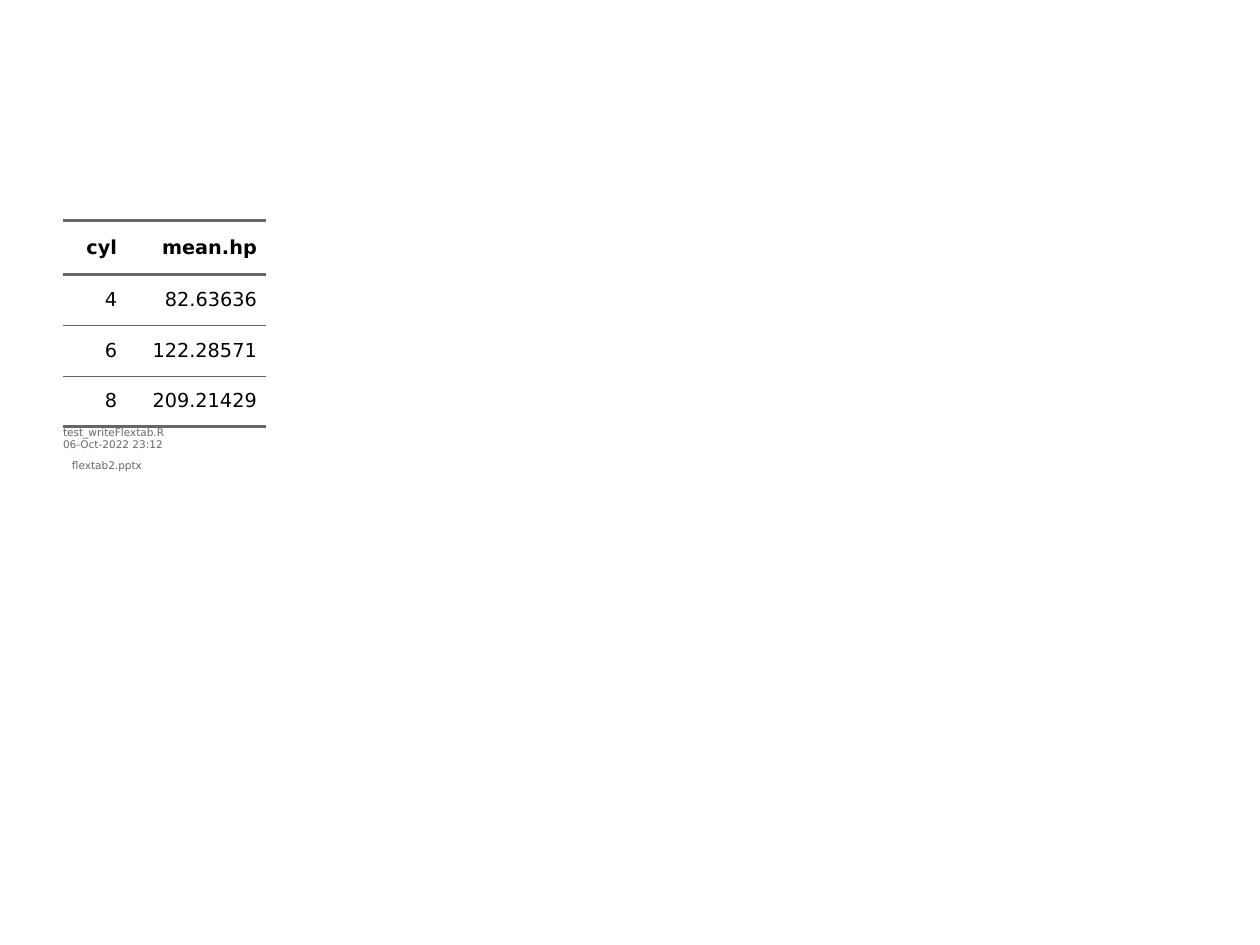
from dataclasses import dataclass

from lxml import etree
from pptx import Presentation
from pptx.dml.color import RGBColor
from pptx.enum.text import MSO_ANCHOR, PP_ALIGN
from pptx.oxml.ns import qn
from pptx.util import Cm, Pt

MIDDLE = MSO_ANCHOR.MIDDLE
LEFT, RIGHT = PP_ALIGN.LEFT, PP_ALIGN.RIGHT

HEADINGS = ("cyl", "mean.hp")
MEANS = [("4", "82.63636"), ("6", "122.28571"), ("8", "209.21429")]
FOOTNOTE = ("test_writeFlextab.R", "06-Oct-2022 23:12", "flextab2.pptx")

COLUMN_WIDTHS = (Cm(1.27), Cm(2.82))
HEADING_HEIGHT, MEAN_HEIGHT, FOOTNOTE_HEIGHT = Cm(1.09), Cm(1.02), Cm(0.64)
TABLE_LEFT, TABLE_TOP = Cm(1.27), Cm(4.45)
INDENT = Cm(0.18)


@dataclass(frozen=True)
class Theme:
    """Colours, type sizes and rule widths."""
    font: str = "DejaVu Sans"
    text: RGBColor = RGBColor(0x00, 0x00, 0x00)
    muted: RGBColor = RGBColor(0x66, 0x66, 0x66)
    paper: RGBColor = RGBColor(0xFF, 0xFF, 0xFF)
    body_size: Pt = Pt(11)
    footnote_size: Pt = Pt(6)
    padding: Pt = Pt(5)
    thick: Pt = Pt(2)
    thin: Pt = Pt(0.5)


THEME = Theme()


def write(paragraph, text, size, color, bold=False, align=RIGHT, padded=True):
    """Fill a paragraph with one run, with indents and spacing if padded."""
    paragraph.alignment = align
    if padded:
        paragraph.space_before = paragraph.space_after = THEME.padding
        properties = paragraph._p.get_or_add_pPr()
        properties.set("marL", str(INDENT))
        properties.set("marR", str(INDENT))
    run = paragraph.add_run()
    run.text = text
    font = run.font
    font.name, font.size, font.bold = THEME.font, size, bold
    font.color.rgb = color


def format_cell(cell, top, bottom):
    """Set margins, rules above and below, and the background."""
    cell.margin_left = cell.margin_right = cell.margin_top = cell.margin_bottom = 0
    cell.vertical_anchor = MIDDLE
    properties = cell._tc.get_or_add_tcPr()
    for side, width in (("L", 0), ("R", 0), ("T", top), ("B", bottom)):
        rule = etree.SubElement(properties, qn(f"a:ln{side}"), w=str(int(width)))
        if width:
            fill = etree.SubElement(rule, qn("a:solidFill"))
            etree.SubElement(fill, qn("a:srgbClr"), val=str(THEME.muted))
        else:
            etree.SubElement(rule, qn("a:noFill"))
    cell.fill.solid()
    cell.fill.fore_color.rgb = THEME.paper


def add_means_table(slide):
    """Add the table of means with its merged footnote row."""
    rows = [HEADINGS, *MEANS]
    heights = [HEADING_HEIGHT, *[MEAN_HEIGHT] * len(MEANS), FOOTNOTE_HEIGHT]
    rules = [THEME.thick, THEME.thick, *[THEME.thin] * (len(MEANS) - 1), THEME.thick, 0]
    table = slide.shapes.add_table(
        len(heights), len(COLUMN_WIDTHS), TABLE_LEFT, TABLE_TOP,
        sum(COLUMN_WIDTHS), sum(heights)).table
    table.first_row = table.horz_banding = False
    for column, width in zip(table.columns, COLUMN_WIDTHS):
        column.width = width
    for index, (row, height) in enumerate(zip(table.rows, heights)):
        row.height = height
        for cell in row.cells:
            format_cell(cell, rules[index], rules[index + 1])
    for index, values in enumerate(rows):
        for cell, value in zip(table.rows[index].cells, values):
            write(cell.text_frame.paragraphs[0], value, THEME.body_size,
                  THEME.text, bold=index == 0)

    footnote = table.cell(len(rows), 0)
    footnote.merge(table.cell(len(rows), len(COLUMN_WIDTHS) - 1))
    frame = footnote.text_frame
    for index, line in enumerate(FOOTNOTE):
        paragraph = frame.add_paragraph() if index else frame.paragraphs[0]
        write(paragraph, line, THEME.footnote_size, THEME.muted,
              align=LEFT, padded=line == FOOTNOTE[-1])


def main():
    """Build and save the slide."""
    deck = Presentation()
    deck.slide_width, deck.slide_height = Cm(25.4), Cm(19.05)
    add_means_table(deck.slides.add_slide(deck.slide_layouts[6]))
    deck.save("out.pptx")


main()
